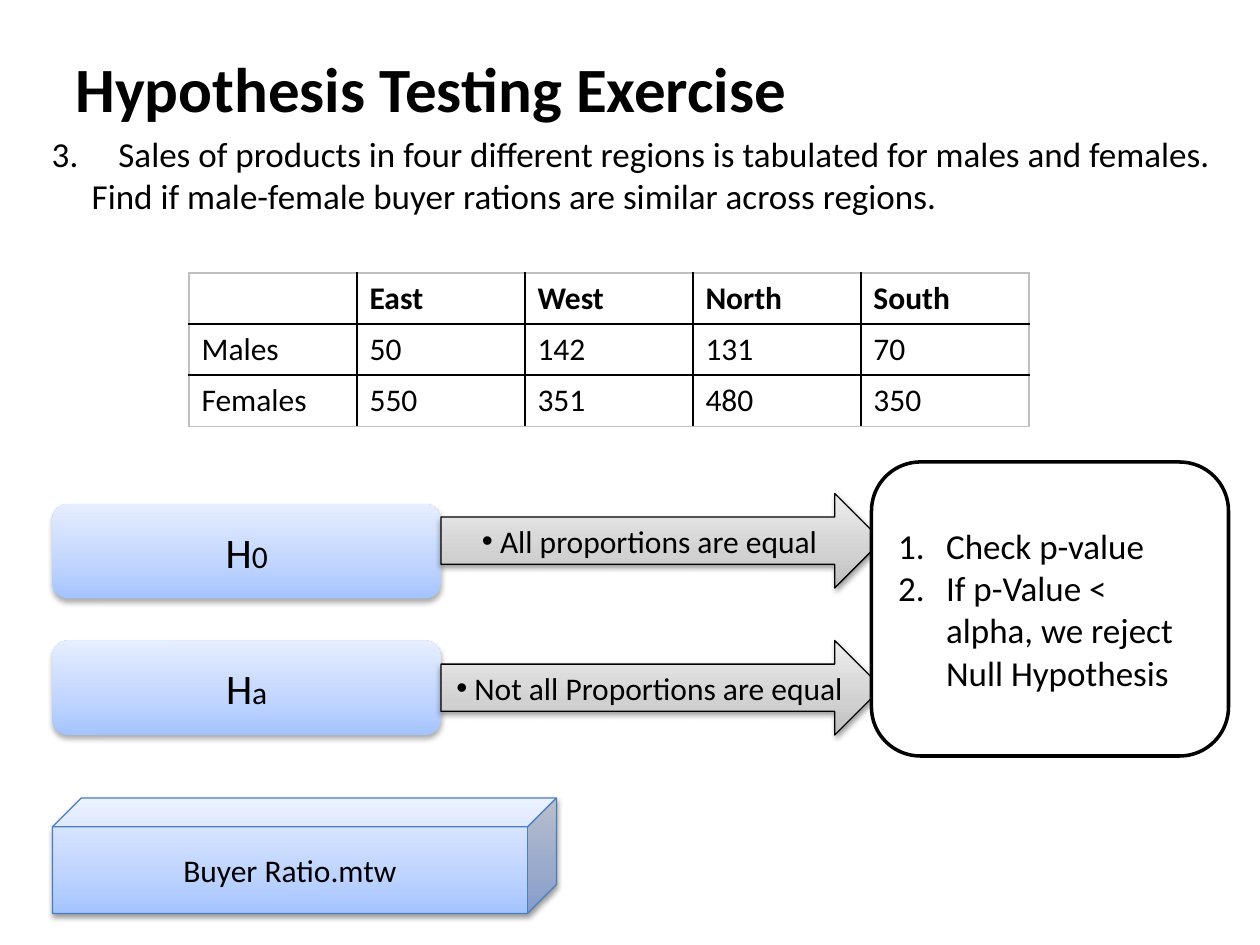
import copy

import lxml.etree
import pptx
import pptx.dml.color
import pptx.enum.shapes
import pptx.enum.text
import pptx.oxml.ns
import pptx.util

RGB = pptx.dml.color.RGBColor
KIND = pptx.enum.shapes.MSO_SHAPE
ALIGN = pptx.enum.text.PP_ALIGN
ANCHOR = pptx.enum.text.MSO_ANCHOR
qn = pptx.oxml.ns.qn

BLACK = RGB(0x00, 0x00, 0x00)
WHITE = RGB(0xFF, 0xFF, 0xFF)
EDGE = RGB(0xBF, 0xBF, 0xBF)
STEEL = RGB(0x4B, 0x7E, 0xBC)
BLUES = (RGB(0xA4, 0xC4, 0xFF), RGB(0xBF, 0xD4, 0xFF), RGB(0xE6, 0xEE, 0xFF))
GRAYS = (RGB(0xBD, 0xBD, 0xBD), RGB(0xD1, 0xD1, 0xD1), RGB(0xEE, 0xEE, 0xEE))
STOPS = (0, 0.35, 1)
SOFT = (32, 3.5, 2.2)
FIRM = (38, 3.1, 1.6)
LEFT = 5
TALL = 9
ROWS = (
    ("", "East", "West", "North", "South"),
    ("Males", "50", "142", "131", "70"),
    ("Females", "550", "351", "480", "350"),
)


def grid(*units):
    return [pptx.util.Inches(unit / 12) for unit in units]


def add(node, tag, **attrs):
    return lxml.etree.SubElement(node, qn(tag), {k: str(v) for k, v in attrs.items()})


def write(frame, *paras, size=18, bold=False, align=ALIGN.LEFT,
          anchor=ANCHOR.MIDDLE, hang=None, mark=None):
    frame.word_wrap = True
    frame.vertical_anchor = anchor
    for i, runs in enumerate(paras):
        para = frame.add_paragraph() if i else frame.paragraphs[0]
        para.alignment = align
        props = para._p.get_or_add_pPr()
        if hang is not None:
            room = pptx.util.Inches(hang)
            props.set("marL", str(room))
            props.set("indent", str(-room))
        if mark == "dot":
            add(props, "a:buFont", typeface="Arial")
            add(props, "a:buChar", char="•")
        elif mark == "count":
            add(props, "a:buFont", typeface="+mj-lt")
            add(props, "a:buAutoNum", type="arabicPeriod")
        for words, *style in runs:
            run = para.add_run()
            run.text = words
            run.font.name = "Calibri"
            run.font.size = pptx.util.Pt(style[0] if style else size)
            run.font.bold = bold
            run.font.color.rgb = BLACK
            if len(style) > 1:
                run._r.get_or_add_rPr().set("spc", str(style[1]))


def blend(shape, shades):
    shape.fill.gradient()
    shape.fill.gradient_angle = 90
    stops = shape._element.spPr.find(qn("a:gradFill")).find(qn("a:gsLst"))
    stops.insert(1, copy.deepcopy(stops[0]))
    for stop, shade, place in zip(shape.fill.gradient_stops, shades, STOPS):
        stop.color.rgb = shade
        stop.position = place


def shade(shape, alpha, blur, drop):
    effect = shape._element.spPr.find(qn("a:effectLst"))
    outer = add(effect, "a:outerShdw", blurRad=pptx.util.Pt(blur),
                dist=pptx.util.Pt(drop), dir=5400000, rotWithShape=0)
    add(add(outer, "a:srgbClr", val=BLACK), "a:alpha", val=alpha * 1000)


def block(slide, kind, box, *paras, fill=BLUES, line=None, width=0.75,
          shadow=None, **style):
    shape = slide.shapes.add_shape(kind, *grid(*box))
    shape.shadow.inherit = False
    if isinstance(fill, RGB):
        shape.fill.solid()
        shape.fill.fore_color.rgb = fill
    else:
        blend(shape, fill)
    if line is None:
        shape.line.fill.background()
    else:
        shape.line.color.rgb = line
        shape.line.width = pptx.util.Pt(width)
    if shadow:
        shade(shape, *shadow)
    write(shape.text_frame, *paras, **style)


def label(slide, box, *paras, **style):
    frame = slide.shapes.add_textbox(*grid(*box)).text_frame
    write(frame, *paras, **style)


def rule(cell, sides):
    props = cell._tc.get_or_add_tcPr()
    for i, (side, outer) in enumerate(sides):
        line = add(props, "a:ln" + side, w=pptx.util.Pt(1))
        add(add(line, "a:solidFill"), "a:srgbClr", val=EDGE if outer else BLACK)
        props.insert(i, line)


def table(slide, box, rows):
    last, end = len(rows) - 1, len(rows[0]) - 1
    frame = slide.shapes.add_table(last + 1, end + 1, *grid(*box))
    sheet = frame.table
    sheet.first_row = sheet.horz_banding = False
    for r, row in enumerate(rows):
        for c, words in enumerate(row):
            cell = sheet.cell(r, c)
            cell.fill.background()
            rule(cell, (("L", c == 0), ("R", c == end),
                        ("T", r == 0), ("B", r == last)))
            write(cell.text_frame, [(words,)], bold=r == 0, anchor=ANCHOR.TOP)


def main():
    deck = pptx.Presentation()
    deck.slide_width, deck.slide_height = grid(120, 90)
    slide = deck.slides.add_slide(deck.slide_layouts[6])

    label(slide, (6, 3.6, 108, 9.4), [("Hypothesis Testing Exercise",)],
          size=36, bold=True)
    label(slide, (3, 12, 115, 75),
          [(" 3.",), (" ", 20, 1830),
           ("Sales of products in four different regions is tabulated for males "
            "and females. Find if male-female buyer rations are similar across "
            "regions.",)],
          size=20, anchor=ANCHOR.TOP, hang=0.38)
    table(slide, (18, 26, 80, 14.6), ROWS)

    for sign, top in (("0", 48), ("a", 61)):
        block(slide, KIND.ROUNDED_RECTANGLE, (LEFT, top, 37, TALL),
              [("H", 24), (sign, 18)], shadow=SOFT, align=ALIGN.CENTER)
    for words, top in ((" All proportions are equal", 47),
                       (" Not all Proportions are equal", 61)):
        block(slide, KIND.RIGHT_ARROW, (42, top, 42, TALL), [(words,)],
              fill=GRAYS, line=BLACK, shadow=FIRM, align=ALIGN.CENTER,
              hang=0, mark="dot")
    block(slide, KIND.ROUNDED_RECTANGLE, (83, 44, 34, 28),
          [("Check p-value",)],
          [("If p-Value < alpha, we reject Null Hypothesis",)],
          fill=WHITE, line=BLACK, width=2, size=20, hang=0.38, mark="count")
    block(slide, KIND.CUBE, (LEFT, 76, 48, 11), [("Buyer Ratio.mtw",)],
          line=STEEL, shadow=FIRM, align=ALIGN.CENTER)
    deck.save("out.pptx")


main()
